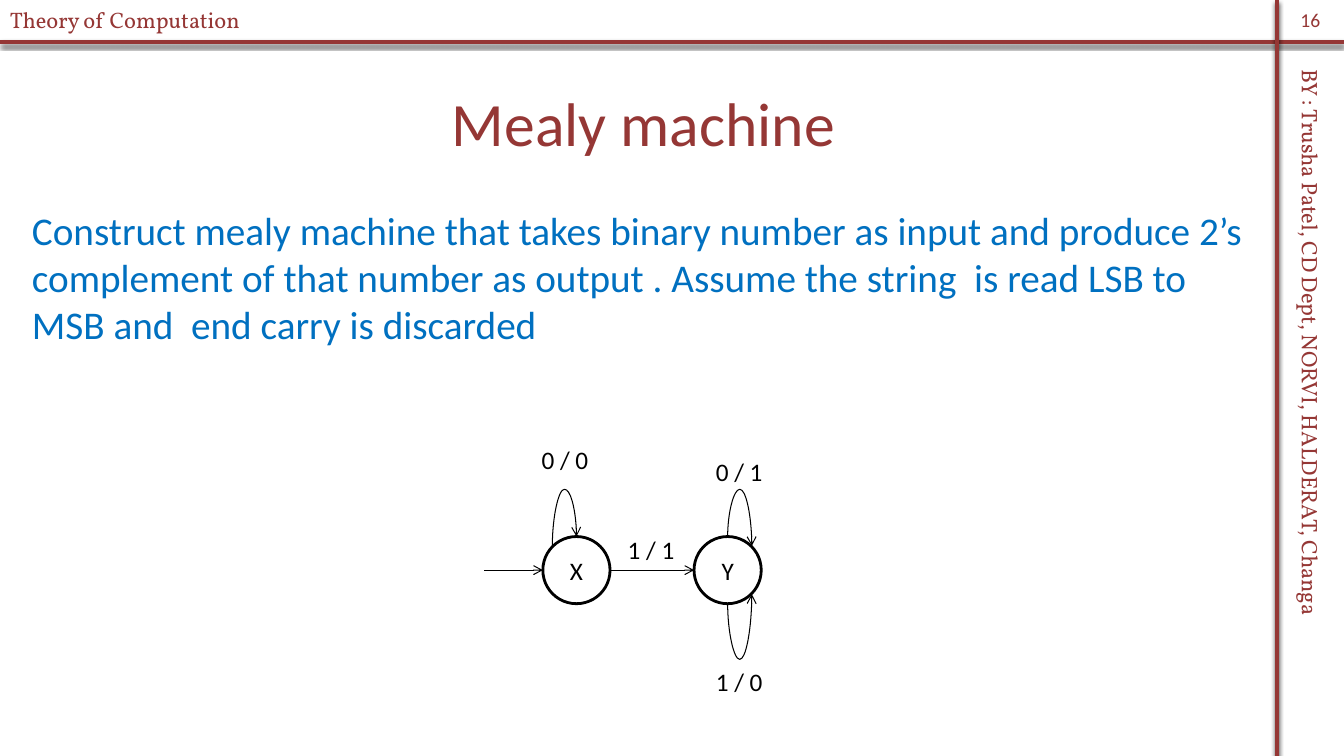
from dataclasses import dataclass

from lxml import etree
from pptx import Presentation
from pptx.dml.color import RGBColor
from pptx.enum import shapes, text
from pptx.oxml.ns import qn
from pptx.util import Pt

EMU_PER_PX = 9525
MAROON, BLUE, BLACK, WHITE = "953735", "0070C0", "000000", "FFFFFF"
LEFT, CENTER = text.PP_ALIGN.LEFT, text.PP_ALIGN.CENTER
TOP, MIDDLE = text.MSO_ANCHOR.TOP, text.MSO_ANCHOR.MIDDLE
STRAIGHT, CURVE = shapes.MSO_CONNECTOR.STRAIGHT, shapes.MSO_CONNECTOR.CURVE

# State circles share one row
DIAMETER, ROW_TOP = 64, 511
ROW_MIDDLE = ROW_TOP + DIAMETER // 2
X_LEFT, Y_LEFT = 517, 661
LOOP_WIDTH, LOOP_DROP = 23, 9


@dataclass
class Label:
    words: str
    left: int
    top: int
    width: int
    height: int
    size: int
    color: str
    font: str = "Calibri"
    align: text.PP_ALIGN = LEFT
    anchor: text.MSO_ANCHOR = TOP
    rotation: int = 0
    wrap: bool = True


@dataclass
class Loop:
    left: int
    top: int
    rotation: int
    flip_vertical: bool
    bend: float  # in multiples of LOOP_DROP


def px(length: int) -> int:
    return length * EMU_PER_PX


def rgb(color: str) -> RGBColor:
    return RGBColor.from_string(color)


def write(box, label: Label) -> None:
    frame = box.text_frame
    frame.word_wrap = label.wrap
    frame.vertical_anchor = label.anchor
    para = frame.paragraphs[0]
    para.text = label.words
    para.alignment = label.align
    para.font.size = Pt(label.size)
    para.font.name = label.font
    para.font.color.rgb = rgb(label.color)


def place(box, label: Label) -> None:
    box.left, box.top = px(label.left), px(label.top)
    box.width, box.height = px(label.width), px(label.height)
    box.rotation = label.rotation
    write(box, label)


def add_label(page, label: Label) -> None:
    place(page.shapes.add_textbox(0, 0, 0, 0), label)


def add_line(page, x1: int, y1: int, x2: int, y2: int, color: str,
             weight: float, kind=STRAIGHT):
    line = page.shapes.add_connector(kind, px(x1), px(y1), px(x2), px(y2))
    line.line.color.rgb = rgb(color)
    line.line.width = Pt(weight)
    effects = etree.SubElement(line._element.spPr, qn("a:effectLst"))
    return line, effects


def add_rule(page, x1: int, y1: int, x2: int, y2: int) -> None:
    effects = add_line(page, x1, y1, x2, y2, MAROON, 3)[1]
    shadow = etree.SubElement(effects, qn("a:outerShdw"), blurRad=str(Pt(3.1)),
                              dist=str(Pt(1.8)), dir="5400000", rotWithShape="0")
    tint = etree.SubElement(shadow, qn("a:srgbClr"), val=BLACK)
    etree.SubElement(tint, qn("a:alpha"), val="70000")


def add_arrow(page, x1: int, y1: int, x2: int, y2: int, kind=STRAIGHT):
    arrow = add_line(page, x1, y1, x2, y2, BLACK, 0.75, kind)[0]
    etree.SubElement(arrow.line._get_or_add_ln(), qn("a:tailEnd"), type="arrow")
    return arrow


def add_loop(page, loop: Loop) -> None:
    arrow = add_arrow(page, loop.left, loop.top, loop.left + LOOP_DROP,
                      loop.top + LOOP_WIDTH, CURVE)
    properties = arrow._element.spPr
    frame = properties.find(qn("a:xfrm"))
    frame.set("rot", str(loop.rotation * 60000))
    frame.set("flipH", "1")
    if loop.flip_vertical:
        frame.set("flipV", "1")
    geometry = properties.find(qn("a:prstGeom"))
    guides = geometry.find(qn("a:avLst"))
    if guides is None:
        guides = etree.SubElement(geometry, qn("a:avLst"))
    etree.SubElement(guides, qn("a:gd"), name="adj1",
                     fmla=f"val {round(loop.bend * 100000)}")


def add_state(page, name: str, left: int) -> None:
    state = page.shapes.add_shape(shapes.MSO_SHAPE.OVAL, px(left), px(ROW_TOP),
                                  px(DIAMETER), px(DIAMETER))
    state.shadow.inherit = False
    state.fill.solid()
    state.fill.fore_color.rgb = rgb(WHITE)
    state.line.color.rgb = rgb(BLACK)
    state.line.width = Pt(2)
    write(state, Label(name, left, ROW_TOP, DIAMETER, DIAMETER, 18, BLACK,
                       align=CENTER, anchor=MIDDLE))


TITLE = Label("Mealy machine", 21, 56, 1184, 120, 44, MAROON,
              align=CENTER, anchor=MIDDLE)
PAGE_TEXTS = [
    Label("BY : Trusha Patel, CD Dept, NORVI, HALDERAT, Changa", 940, 347, 616, 36,
          16, MAROON, "Vollkorn", rotation=90),
    Label("Theory of Computation", 0, 1, 316, 36, 16, MAROON, "Vollkorn"),
    Label("Construct mealy machine that takes binary number as input and produce "
          "2’s complement of that number as output . Assume the string  is read "
          "LSB to MSB and  end carry is discarded",
          21, 192, 1184, 504, 28, BLUE),
    Label("16", 1216, 0, 64, 38, 14, MAROON, align=CENTER, anchor=MIDDLE),
]
TRANSITIONS = [("1 / 1", 588, 504), ("0 / 1", 672, 430),
               ("1 / 0", 672, 630), ("0 / 0", 506, 418)]
LOOPS = [
    Loop(700, 504, 270, False, -5),
    Loop(700, 559, 90, True, -5.9),
    Loop(533, 504, 90, True, 6),
]


def main() -> None:
    deck = Presentation()
    deck.slide_width, deck.slide_height = px(1280), px(720)
    page = deck.slides.add_slide(deck.slide_layouts[5])

    # Frame rules and texts
    add_rule(page, 0, 40, 1280, 40)
    add_rule(page, 1216, 0, 1216, 720)
    place(page.shapes.title, TITLE)
    for label in PAGE_TEXTS:
        add_label(page, label)

    # State diagram
    add_state(page, "X", X_LEFT)
    add_state(page, "Y", Y_LEFT)
    add_arrow(page, 461, ROW_MIDDLE, X_LEFT, ROW_MIDDLE)
    add_arrow(page, X_LEFT + DIAMETER, ROW_MIDDLE, Y_LEFT, ROW_MIDDLE)
    for loop in LOOPS:
        add_loop(page, loop)
    for words, left, top in TRANSITIONS:
        add_label(page, Label(words, left, top, 64, 38, 18, BLACK,
                              align=CENTER, wrap=False))

    deck.save("out.pptx")


if __name__ == "__main__":
    main()
